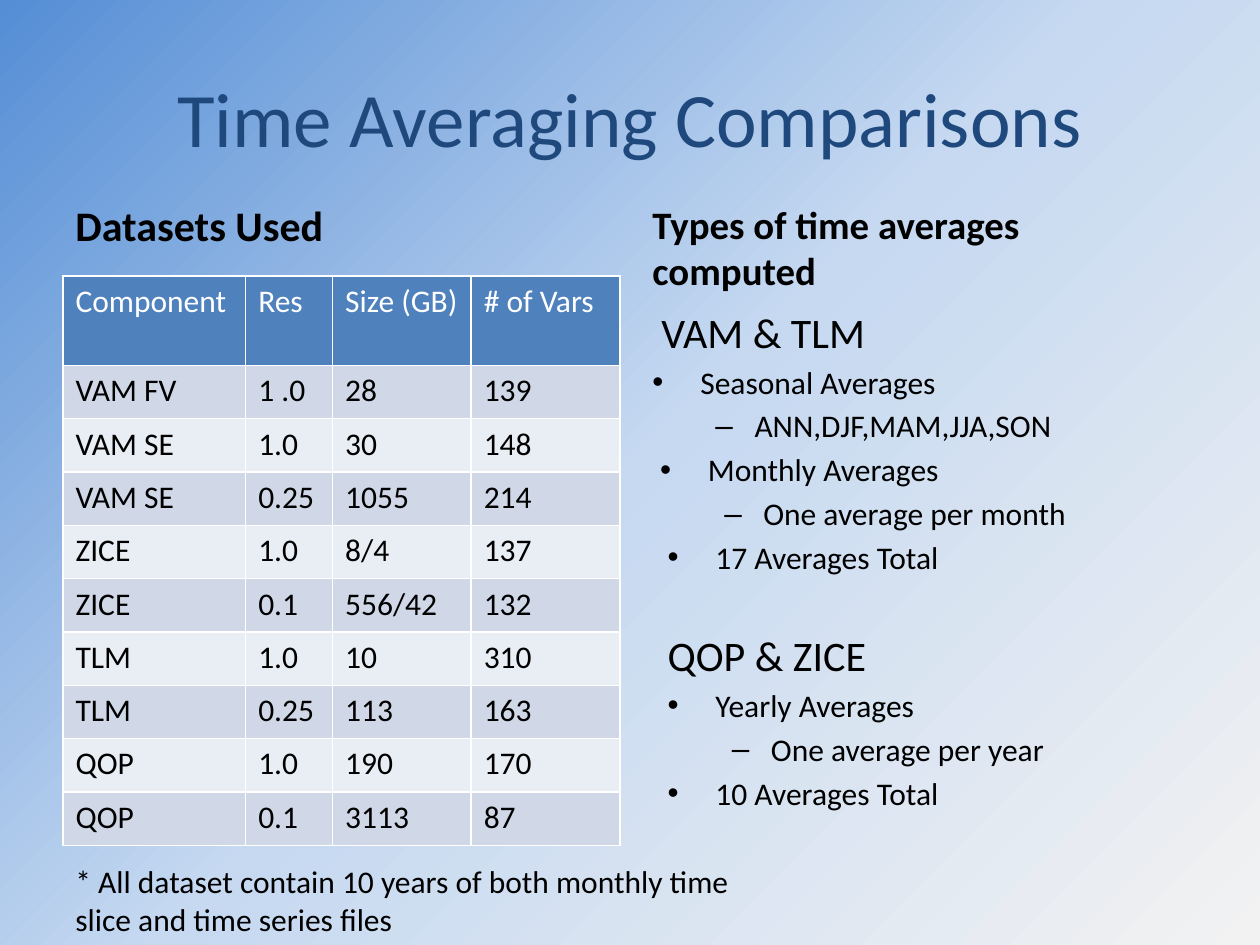
from dataclasses import dataclass

import lxml.etree
import pptx
import pptx.dml.color
import pptx.enum.text
import pptx.oxml
import pptx.oxml.ns
import pptx.util

Inches = pptx.util.Inches
Pt = pptx.util.Pt
RGBColor = pptx.dml.color.RGBColor
Align = pptx.enum.text.PP_ALIGN
Anchor = pptx.enum.text.MSO_ANCHOR
qn = pptx.oxml.ns.qn

WIDTH, HEIGHT = 10, 7.5
FONT = "Calibri"
BLACK = RGBColor(0, 0, 0)
WHITE = RGBColor(255, 255, 255)
NAVY = RGBColor(0x1F, 0x49, 0x7D)
HEADER_BLUE = RGBColor(0x4F, 0x81, 0xBD)
BANDS = (RGBColor(0xD0, 0xD8, 0xE8), RGBColor(0xE9, 0xED, 0xF4))
GRADIENT = (
    (0, RGBColor(0x55, 0x8E, 0xD5)),
    (50, RGBColor(0xC6, 0xD9, 0xF1)),
    (100, RGBColor(0xF2, 0xF2, 0xF2)),
)

MARGIN = 0.05 * WIDTH
COLUMN_WIDTH = 4.42
RIGHT_COLUMN = WIDTH - MARGIN - COLUMN_WIDTH
TABLE_HEIGHT = 4.52
COLUMN_WIDTHS = (1.45, 0.69, 1.1, 1.18)
HEADER_HEIGHT = 0.71

DATASETS = (
    ("Component", "Res", "Size (GB)", "# of Vars"),
    ("VAM FV", "1 .0", "28", "139"),
    ("VAM SE", "1.0", "30", "148"),
    ("VAM SE", "0.25", "1055", "214"),
    ("ZICE", "1.0", "8/4", "137"),
    ("ZICE", "0.1", "556/42", "132"),
    ("TLM", "1.0", "10", "310"),
    ("TLM", "0.25", "113", "163"),
    ("QOP", "1.0", "190", "170"),
    ("QOP", "0.1", "3113", "87"),
)
ROW_HEIGHT = (TABLE_HEIGHT - HEADER_HEIGHT) / (len(DATASETS) - 1)


@dataclass(frozen=True)
class Line:
    text: str
    left: float = 0
    bullet: str = ""
    size: float = 18
    before: float = 3.5


AVERAGES = (
    Line("VAM & TLM", left=0.07, size=24, before=3),
    Line("Seasonal Averages", 0.38, "•"),
    Line("ANN,DJF,MAM,JJA,SON", 0.81, "–"),
    Line("Monthly Averages", 0.44, "•"),
    Line("One average per month", 0.88, "–"),
    Line("17 Averages Total", 0.5, "•"),
    Line("QOP & ZICE", left=0.12, size=24, before=30.5),
    Line("Yearly Averages", 0.5, "•"),
    Line("One average per year", 0.94, "–"),
    Line("10 Averages Total", 0.5, "•"),
)
HANGING = {"": 0, "•": 0.38, "–": 0.31}


def write_text(para, text: str, *, size: float = 18, color: RGBColor = BLACK,
               bold: bool = False, align: Align = Align.LEFT) -> None:
    para.alignment = align
    span = para.add_run()
    span.text = text
    span.font.name = FONT
    span.font.size = Pt(size)
    span.font.bold = bold
    span.font.color.rgb = color


def add_box(slide, left: float, top: float, width: float, height: float,
            anchor: Anchor = Anchor.TOP):
    """Add a wrapping text box and return its text frame."""
    box = slide.shapes.add_textbox(Inches(left), Inches(top), Inches(width), Inches(height))
    box.text_frame.word_wrap = True
    box.text_frame.vertical_anchor = anchor
    return box.text_frame


def paint_background(slide) -> None:
    fill = slide.background.fill
    fill.gradient()
    fill.gradient_angle = 315
    stops = slide.element.xpath(".//p:bg//a:gsLst")[0]
    for stop in list(stops):
        stops.remove(stop)
    for share, color in GRADIENT:
        stop = lxml.etree.SubElement(stops, qn("a:gs"), pos=str(share * 1000))
        lxml.etree.SubElement(stop, qn("a:srgbClr"), val=str(color))


def set_borders(cell) -> None:
    """Draw thin white cell edges; call before filling."""
    properties = cell._tc.get_or_add_tcPr()
    for side in "LRTB":
        edge = lxml.etree.SubElement(properties, qn(f"a:ln{side}"), w=str(int(Pt(1))))
        paint = lxml.etree.SubElement(edge, qn("a:solidFill"))
        lxml.etree.SubElement(paint, qn("a:srgbClr"), val=str(WHITE))


def add_dataset_table(slide, top: float) -> None:
    table = slide.shapes.add_table(
        len(DATASETS), len(COLUMN_WIDTHS), Inches(MARGIN), Inches(top),
        Inches(COLUMN_WIDTH), Inches(TABLE_HEIGHT)).table
    for column, width in zip(table.columns, COLUMN_WIDTHS):
        column.width = Inches(width)
    for index, values in enumerate(DATASETS):
        header = index == 0
        table.rows[index].height = Inches(HEADER_HEIGHT if header else ROW_HEIGHT)
        for cell, value in zip(table.rows[index].cells, values):
            set_borders(cell)
            cell.fill.solid()
            cell.fill.fore_color.rgb = HEADER_BLUE if header else BANDS[(index - 1) % 2]
            write_text(cell.text_frame.paragraphs[0], value, color=WHITE if header else BLACK)


def add_outline(slide, top: float, height: float) -> None:
    frame = add_box(slide, RIGHT_COLUMN, top, COLUMN_WIDTH, height)
    for index, line in enumerate(AVERAGES):
        para = frame.add_paragraph() if index else frame.paragraphs[0]
        write_text(para, line.text, size=line.size)
        para.space_before = Pt(line.before)
        para.level = 1 if line.bullet == "–" else 0
        properties = para._p.get_or_add_pPr()
        properties.set("marL", str(int(Inches(line.left))))
        properties.set("indent", str(-int(Inches(HANGING[line.bullet]))))
        if line.bullet:
            lxml.etree.SubElement(properties, qn("a:buFont"), typeface="Arial")
            lxml.etree.SubElement(properties, qn("a:buChar"), char=line.bullet)


def main() -> None:
    deck = pptx.Presentation()
    deck.slide_width, deck.slide_height = Inches(WIDTH), Inches(HEIGHT)
    slide = deck.slides.add_slide(deck.slide_layouts[6])
    paint_background(slide)

    title = add_box(slide, MARGIN, 0.3, WIDTH - 2 * MARGIN, 1.25, Anchor.MIDDLE)
    write_text(title.paragraphs[0], "Time Averaging Comparisons",
               size=44, color=NAVY, align=Align.CENTER)

    datasets = add_box(slide, MARGIN, 1.33, COLUMN_WIDTH, 0.7, Anchor.BOTTOM)
    write_text(datasets.paragraphs[0], "Datasets Used", size=24, bold=True)
    add_dataset_table(slide, top=2.19)

    averages = add_box(slide, RIGHT_COLUMN, 1.68, COLUMN_WIDTH, 0.7, Anchor.BOTTOM)
    write_text(averages.paragraphs[0], "Types of time averages computed", size=22.2, bold=True)
    add_outline(slide, top=2.38, height=4.32)

    note = add_box(slide, MARGIN, 6.79, 5.49, 0.71)
    write_text(note.paragraphs[0], "* All dataset contain 10 years of both monthly time "
               "slice and time series files")
    deck.save("out.pptx")


if __name__ == "__main__":
    main()
